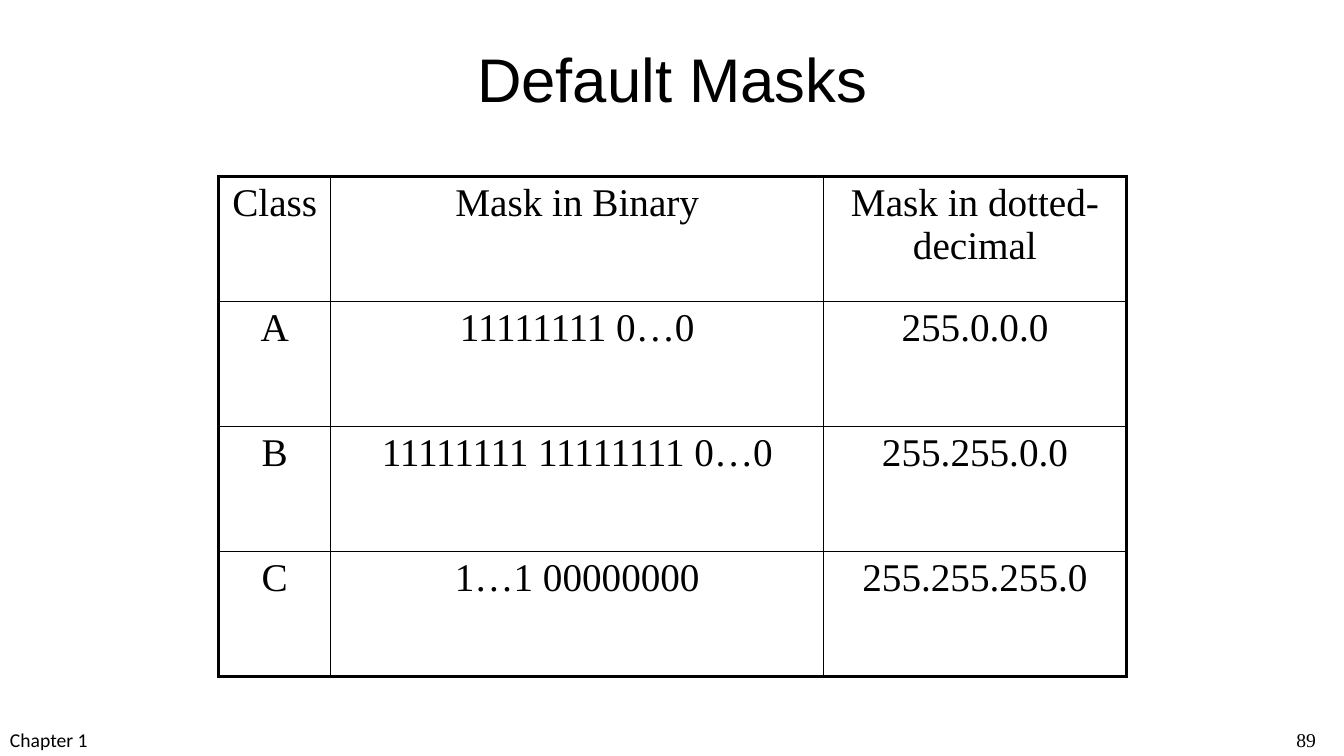
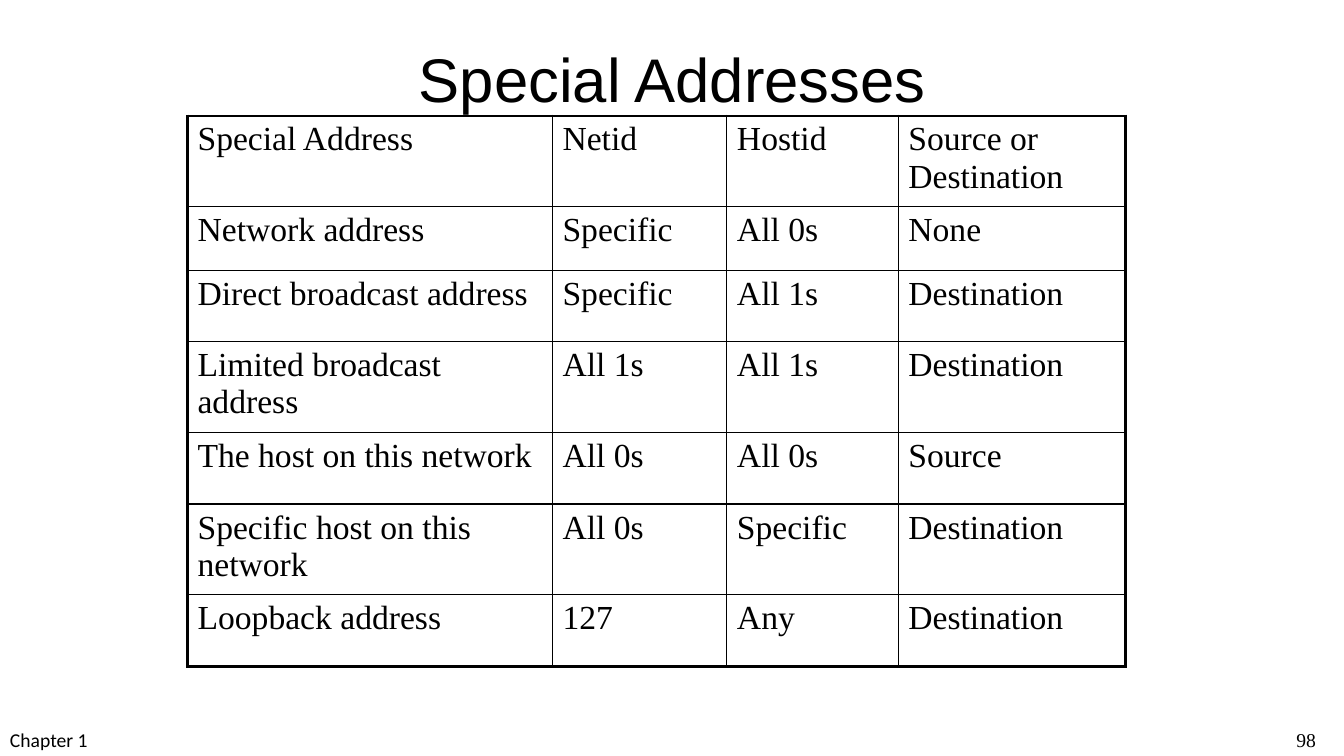
import dataclasses
import pptx
import pptx.util
import pptx.dml.color
import pptx.enum.text
import pptx.oxml
import pptx.oxml.ns

PX = 9144  # 100 px to the inch
ALIGN = pptx.enum.text.PP_ALIGN
ANCHOR = pptx.enum.text.MSO_ANCHOR
FIT = pptx.enum.text.MSO_AUTO_SIZE


@dataclasses.dataclass(frozen=True)
class Theme:
    ink: str = "000000"
    head: tuple = ("Arial", 44)
    foot: tuple = ("Calibri", 14)
    page: tuple = ("Times New Roman", 14)
    large: tuple = ("Times New Roman", 28)
    small: tuple = ("Times New Roman", 24)
    thin: float = 1
    thick: float = 2.25


THEME = Theme()

MASKS = [
    ["Class", "Mask in Binary", "Mask in dotted-decimal"],
    ["A", "11111111 0…0", "255.0.0.0"],
    ["B", "11111111 11111111 0…0", "255.255.0.0"],
    ["C", "1…1 00000000", "255.255.255.0"],
]

SPECIAL = [
    ["Special Address", "Netid", "Hostid", "Source or Destination"],
    ["Network address", "Specific", "All 0s", "None"],
    ["Direct broadcast address", "Specific", "All 1s", "Destination"],
    ["Limited broadcast address", "All 1s", "All 1s", "Destination"],
    ["The host on this network", "All 0s", "All 0s", "Source"],
    ["Specific host on this network", "All 0s", "Specific", "Destination"],
    ["Loopback address", "127", "Any", "Destination"],
]


def px(*sizes):
    return [pptx.util.Emu(size * PX) for size in sizes]


def write(frame, text, style, align):
    frame.text = text
    para = frame.paragraphs[0]
    para.alignment = align
    name, size = style
    para.font.name = name
    para.font.size = pptx.util.Pt(size)
    para.font.color.rgb = pptx.dml.color.RGBColor.from_string(THEME.ink)


# Title and footer
def label(slide, box, text, style, wrap):
    frame = slide.shapes.add_textbox(*px(*box)).text_frame
    frame.word_wrap = wrap
    write(frame, text, style, ALIGN.LEFT)


def add_page(deck, title, number):
    slide = deck.slides.add_slide(deck.slide_layouts.get_by_name("Title Only"))
    label(slide, (0, 717, 322, 33), "Chapter 1", THEME.foot, True)
    label(slide, (1276, 717, 43, 34), str(number), THEME.page, False)
    head = slide.shapes.title
    head.left, head.top, head.width, head.height = px(67, 30, 1200, 125)
    frame = head.text_frame
    frame.auto_size = FIT.NONE
    frame.vertical_anchor = ANCHOR.TOP
    frame.margin_top = px(11)[0]
    write(frame, title, THEME.head, ALIGN.CENTER)
    return slide


# Table with a thick frame and thin inner rules
def rule(cell, side, width):
    space = pptx.oxml.ns.nsdecls("a")
    line = pptx.oxml.parse_xml(
        f'<a:ln{side} {space} w="{pptx.util.Pt(width)}"><a:solidFill>'
        f'<a:srgbClr val="{THEME.ink}"/></a:solidFill></a:ln{side}>')
    cell._tc.get_or_add_tcPr().append(line)


def add_grid(slide, left, top, cols, rows, data, style, align):
    box = px(left, top, sum(cols), sum(rows))
    grid = slide.shapes.add_table(len(rows), len(cols), *box).table
    grid.first_row = grid.horz_banding = False
    for col, width in zip(grid.columns, px(*cols)):
        col.width = width
    for row, height in zip(grid.rows, px(*rows)):
        row.height = height
    for y, texts in enumerate(data):
        for x, text in enumerate(texts):
            cell = grid.cell(y, x)
            write(cell.text_frame, text, style, align)
            edges = {"L": x == 0, "R": x == len(cols) - 1,
                     "T": y == 0, "B": y == len(rows) - 1}
            for side, outer in edges.items():
                rule(cell, side, THEME.thick if outer else THEME.thin)
            cell.fill.background()


def main():
    deck = pptx.Presentation()
    deck.slide_width, deck.slide_height = px(1333, 750)

    slide = add_page(deck, "Default Masks", 89)
    add_grid(slide, 217, 175, [111, 489, 300], [124] * 4,
             MASKS, THEME.large, ALIGN.CENTER)

    slide = add_page(deck, "Special Addresses", 98)
    add_grid(slide, 186, 115, [362, 173, 170, 225],
             [90, 63, 71, 90, 71, 90, 71],
             SPECIAL, THEME.small, ALIGN.LEFT)

    deck.save("out.pptx")


if __name__ == "__main__":
    main()
